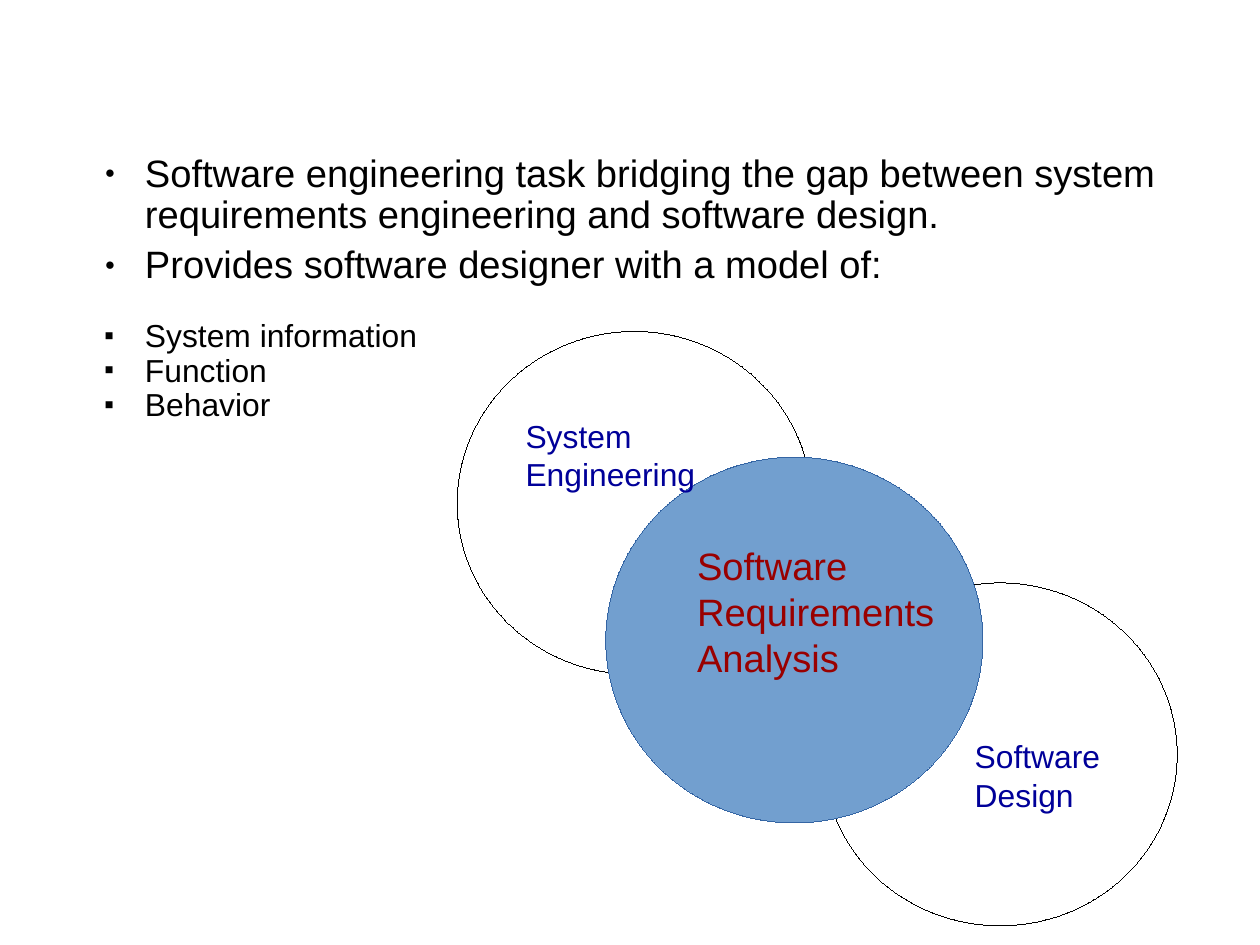
"""Build a slide on software requirements analysis with three overlapping circles."""
from lxml.etree import SubElement
from pptx import Presentation
from pptx.dml.color import RGBColor
from pptx.enum.shapes import MSO_SHAPE
from pptx.oxml.ns import qn
from pptx.util import Inches, Pt

COLORS = {
    "text": "000000",
    "side_fill": "FFFFFF",
    "side_line": "000000",
    "center_fill": "729FCF",
    "center_line": "3465A4",
    "center_label": "990000",
    "side_label": "000099",
}
CM_PER_INCH = 2.54


class SlideBuilder:
    def __init__(self, slide, font_name):
        self.slide = slide
        self.font_name = font_name

    def color(self, name):
        return RGBColor.from_string(COLORS[name])

    def circle(self, left, top, width, height, role):
        shape = self.slide.shapes.add_shape(
            MSO_SHAPE.OVAL, Inches(left), Inches(top), Inches(width), Inches(height))
        shape.shadow.inherit = False
        shape.fill.solid()
        shape.fill.fore_color.rgb = self.color(f"{role}_fill")
        shape.line.color.rgb = self.color(f"{role}_line")
        shape.line.width = Pt(0.01)

    def text_frame(self, left, top, width, height):
        box = self.slide.shapes.add_textbox(
            Inches(left), Inches(top), Inches(width), Inches(height))
        box.text_frame.word_wrap = True
        return box.text_frame

    def add_text(self, paragraph, text, size, color):
        run = paragraph.add_run()
        run.text = text
        run.font.color.rgb = self.color(color)
        for name, value in {"name": self.font_name, "size": Pt(size)}.items():
            setattr(run.font, name, value)

    def paragraphs(self, frame, items):
        for index, item in enumerate(items):
            yield (frame.add_paragraph() if index else frame.paragraphs[0]), item

    def label(self, left, top, width, height, lines, size, color):
        frame = self.text_frame(left, top, width, height)
        for paragraph, line in self.paragraphs(frame, lines):
            self.add_text(paragraph, line, size, color)

    def add_bullet(self, paragraph, symbol):
        properties = paragraph._p.get_or_add_pPr()
        properties.set("marL", str(Inches(0.47)))
        properties.set("indent", str(Inches(-0.35)))
        bullet_color = SubElement(properties, qn("a:buClr"))
        SubElement(bullet_color, qn("a:srgbClr"), val=COLORS["text"])
        SubElement(properties, qn("a:buSzPct"), val="45000")
        SubElement(properties, qn("a:buFont"), typeface=self.font_name)
        SubElement(properties, qn("a:buChar"), char=symbol)

    def bullet_list(self, left, top, width, height, items):
        frame = self.text_frame(left, top, width, height)
        for paragraph, (text, symbol, size, space) in self.paragraphs(frame, items):
            self.add_bullet(paragraph, symbol)
            for name, value in {"line_spacing": 0.9, "space_before": Pt(space)}.items():
                setattr(paragraph, name, value)
            self.add_text(paragraph, text, size, "text")


def main():
    presentation = Presentation()
    presentation.slide_width = Inches(28 / CM_PER_INCH)
    presentation.slide_height = Inches(21 / CM_PER_INCH)
    slide = presentation.slides.add_slide(presentation.slide_layouts[6])
    builder = SlideBuilder(slide, "Arial")

    builder.bullet_list(0.7, 1.3, 9.59, 6.1, [
        ("Software engineering task bridging the gap between system "
         "requirements engineering and software design.", "●", 24, 0),
        ("Provides software designer with a model of:", "●", 24, 6),
        ("System information", "■", 20, 21),
        ("Function", "■", 20, 0),
        ("Behavior", "■", 20, 0),
    ])

    for left, top in ((4, 2.9), (7.2, 5.1)):
        builder.circle(left, top, 3.1, 3, "side")
    builder.circle(5.3, 4, 3.3, 3.2, "center")

    builder.label(6, 4.7, 2.3, 1.6, ("Software", "Requirements", "Analysis"),
                  24, "center_label")
    builder.label(4.5, 3.6, 2.27, 1.34, ("System", "Engineering"), 20, "side_label")
    builder.label(8.43, 6.4, 1.86, 1.21, ("Software", "Design"), 20, "side_label")

    presentation.save("out.pptx")


if __name__ == "__main__":
    main()
